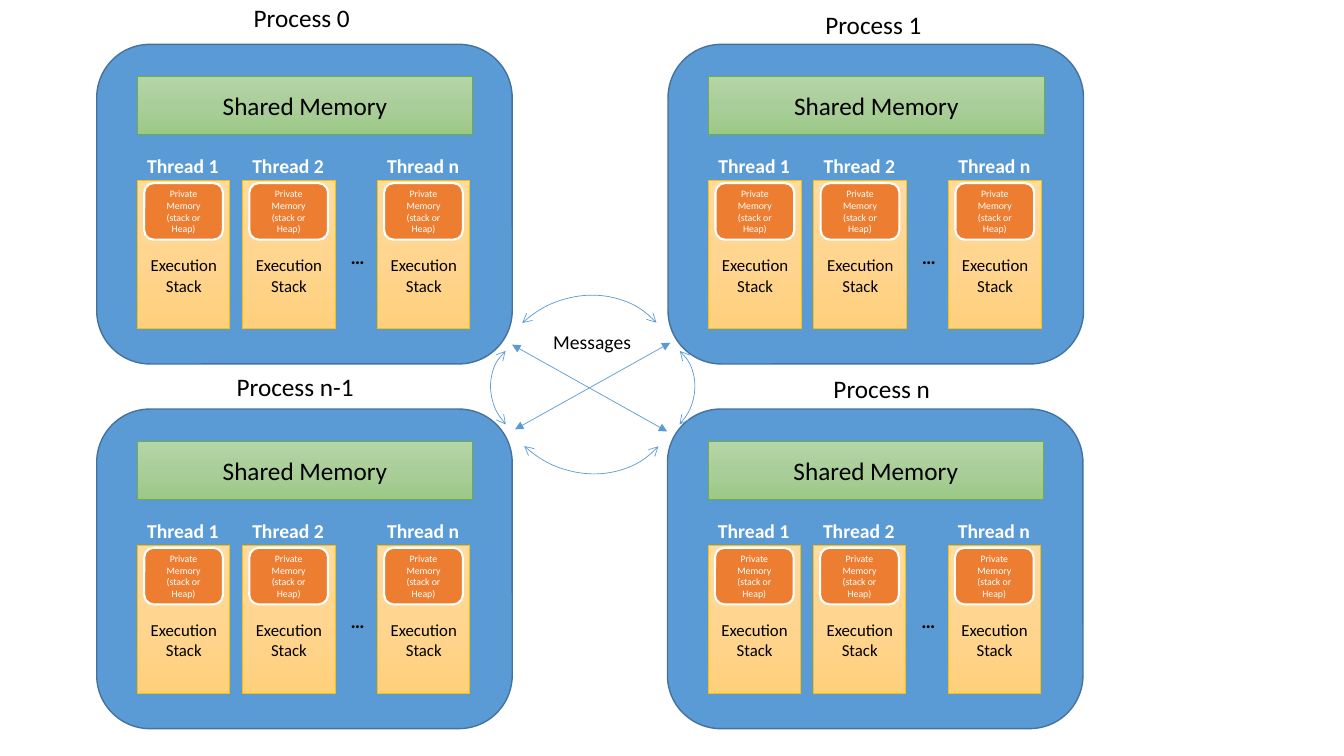
import copy
from dataclasses import dataclass

import pptx
import pptx.dml.color
import pptx.enum.shapes
import pptx.enum.text
import pptx.oxml
import pptx.oxml.ns
import pptx.util

Pt = pptx.util.Pt
Shape = pptx.enum.shapes.MSO_SHAPE
Align = pptx.enum.text.PP_ALIGN
Anchor = pptx.enum.text.MSO_ANCHOR

COLOURS = {
    "panel": "5B9BD5", "panel edge": "43739E",
    "memory edge": "70AD47", "lane edge": "FFC000",
    "private": "ED7D31", "white": "FFFFFF", "black": "000000",
}
GRADIENTS = {
    "memory": ("B5D5A7", "AACE9A", "9CC987"),
    "lane": ("FFDB9E", "FFD590", "FFD07C"),
}
LANE_TOP = 97.2


@dataclass
class Frame:
    left: float
    top: float
    width: float
    height: float

    def lengths(self):
        return [Pt(value) for value in (self.left, self.top, self.width, self.height)]


@dataclass
class Process:
    name: str
    label: Frame
    left: float
    top: float


@dataclass
class Thread:
    name: str
    offset: float


@dataclass
class Arc:
    frame: Frame
    rotation: float
    flips: tuple[str, ...]


@dataclass
class Line:
    start: tuple[float, float]
    end: tuple[float, float]


PROCESSES = [
    Process("Process 0", Frame(174.2, -2.2, 86, 29), 69.1, 31.7),
    Process("Process 1", Frame(582.5, 2.9, 86, 29), 477.2, 31.7),
    Process("Process n-1", Frame(162, 262, 111, 29), 69.1, 292.2),
    Process("Process n", Frame(588.3, 263, 86, 29), 476.8, 292.2),
]
THREADS = [Thread("Thread 1", 28.9), Thread("Thread 2", 104), Thread("Thread n", 200.3)]
LINES = [
    Line((365.8, 246.2), (476.6, 308.2)),
    Line((478.8, 244.8), (367.9, 306.7)),
]
ARCS = [
    Arc(Frame(424.1, 240.5, 70.6, 77.8), 42.4, ()),
    Arc(Frame(353.5, 200.2, 128.9, 141.8), 312.4, ("flipH", "flipV")),
    Arc(Frame(352.1, 240.5, 70.6, 77.8), 317.6, ("flipH",)),
    Arc(Frame(352.1, 207.4, 128.9, 141.8), 47.6, ("flipH",)),
]


def colour(name: str) -> pptx.dml.color.RGBColor:
    return pptx.dml.color.RGBColor.from_string(COLOURS.get(name, name))


def write(box, text: str, size: float, ink: str, bold: bool = False, align=Align.LEFT):
    box.text_frame.word_wrap = True
    para = box.text_frame.paragraphs[0]
    para.text = text
    para.alignment = align
    para.font.name = "Calibri"
    para.font.size = Pt(size)
    para.font.bold = bold
    para.font.color.rgb = colour(ink)


def add_label(page, frame: Frame, text: str, size: float, ink: str = "black",
              bold: bool = False, align=Align.LEFT):
    box = page.shapes.add_textbox(*frame.lengths())
    write(box, text, size, ink, bold, align)
    box.text_frame.auto_size = pptx.enum.text.MSO_AUTO_SIZE.SHAPE_TO_FIT_TEXT


def add_box(page, kind, frame: Frame, fill: str, edge: str, weight: float):
    box = page.shapes.add_shape(kind, *frame.lengths())
    box.shadow.inherit = False
    box.line.color.rgb = colour(edge)
    box.line.width = Pt(weight)
    if fill in GRADIENTS:
        box.fill.gradient()
        box.fill.gradient_angle = 270
        stops = box.element.spPr.find(".//" + pptx.oxml.ns.qn("a:gsLst"))
        stops.append(copy.deepcopy(stops[0]))
        for index, stop in enumerate(box.fill.gradient_stops):
            stop.position = index / 2
            stop.color.rgb = colour(GRADIENTS[fill][index])
    else:
        box.fill.solid()
        box.fill.fore_color.rgb = colour(fill)
    return box


def style_arrow(arrow, head: str):
    arrow.line.color.rgb = colour("panel")
    arrow.line.width = Pt(0.5)
    outline = arrow.line._get_or_add_ln()
    for end in ("headEnd", "tailEnd"):
        tip = pptx.oxml.parse_xml(f'<a:{end} {pptx.oxml.ns.nsdecls("a")} type="{head}"/>')
        outline.append(tip)


def add_thread(page, process: Process, thread: Thread):
    left, top = process.left + thread.offset, process.top + LANE_TOP
    add_box(page, Shape.RECTANGLE, Frame(left, top, 66.2, 105.9), "lane", "lane edge", 0.5)
    add_label(page, Frame(left, top - 22.3, 71.3, 24.2), thread.name, 14, "white", True)
    private = add_box(page, Shape.ROUNDED_RECTANGLE, Frame(left + 5, top + 1.9, 56.2, 40.4),
                      "private", "white", 1.5)
    write(private, "Private Memory (stack or Heap)", 7, "white", align=Align.CENTER)
    private.text_frame.vertical_anchor = Anchor.MIDDLE
    add_label(page, Frame(left - 8.1, top + 49.8, 82.8, 36.3), "Execution Stack", 12,
              align=Align.CENTER)


def add_process(page, process: Process):
    add_label(page, process.label, process.name, 18)
    add_box(page, Shape.ROUNDED_RECTANGLE, Frame(process.left, process.top, 296.8, 228.3),
            "panel", "panel edge", 1)
    memory = add_box(page, Shape.RECTANGLE,
                     Frame(process.left + 28.9, process.top + 23, 239.8, 41.2),
                     "memory", "memory edge", 0.5)
    write(memory, "Shared Memory", 18, "black", align=Align.CENTER)
    memory.text_frame.vertical_anchor = Anchor.MIDDLE
    for thread in THREADS:
        add_thread(page, process, thread)
    add_label(page, Frame(process.left + 174.2, process.top + 139.4, 24, 24.2), "…", 14,
              bold=True)


def add_line(page, line: Line):
    points = [Pt(value) for value in line.start + line.end]
    arrow = page.shapes.add_connector(pptx.enum.shapes.MSO_CONNECTOR.STRAIGHT, *points)
    style_arrow(arrow, "triangle")
    arrow.element.spPr.append(pptx.oxml.parse_xml(
        f'<a:effectLst {pptx.oxml.ns.nsdecls("a")}/>'))


def add_arc(page, arc: Arc):
    arrow = page.shapes.add_shape(Shape.ARC, *arc.frame.lengths())
    arrow.shadow.inherit = False
    arrow.fill.background()
    arrow.rotation = arc.rotation
    for flip in arc.flips:
        arrow.element.spPr.xfrm.set(flip, "1")
    style_arrow(arrow, "arrow")


def main():
    deck = pptx.Presentation()
    deck.slide_width, deck.slide_height = Pt(960), Pt(540)
    page = deck.slides.add_slide(deck.slide_layouts[6])
    for process in PROCESSES:
        add_process(page, process)
    for line in LINES:
        add_line(page, line)
    for arc in ARCS:
        add_arc(page, arc)
    add_label(page, Frame(388.1, 231.8, 74.2, 24.2), "Messages", 14)
    deck.save("out.pptx")


if __name__ == "__main__":
    main()
